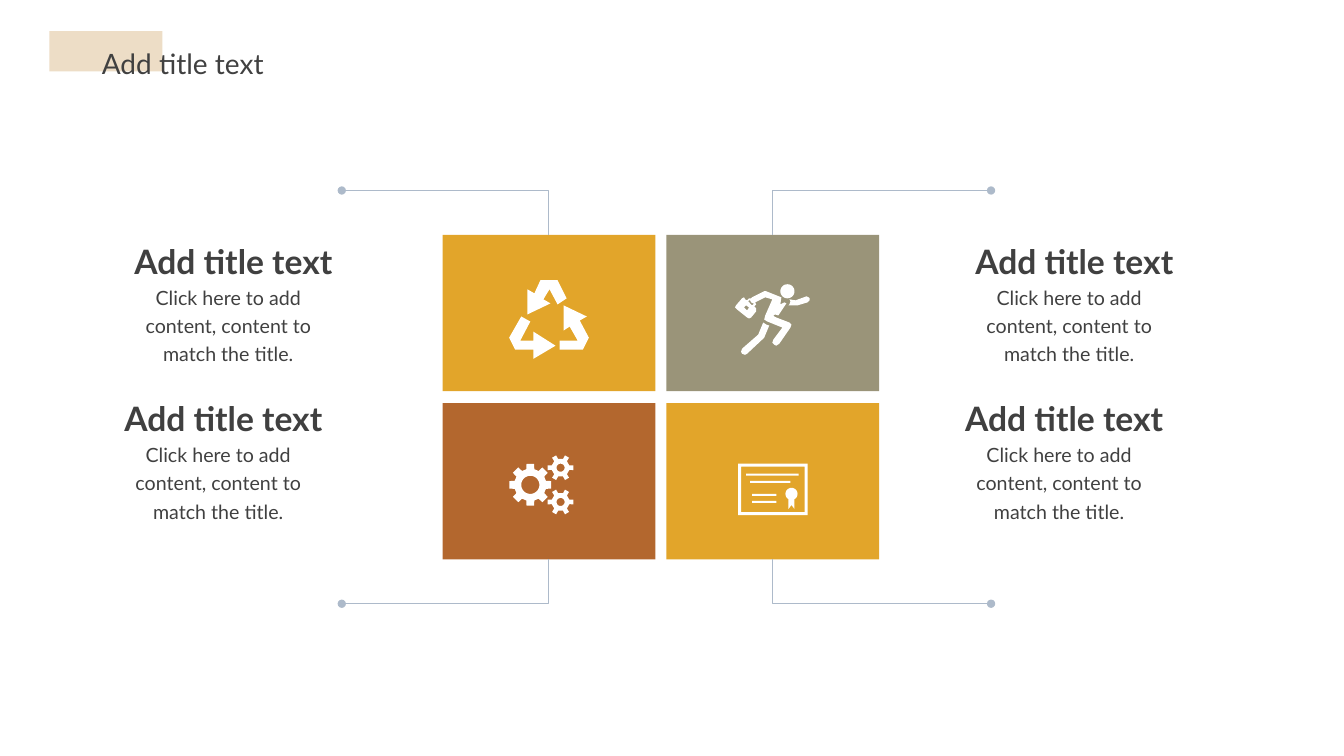
from math import cos, pi, sin

from lxml.etree import SubElement
from pptx import Presentation
from pptx.dml.color import RGBColor
from pptx.enum.shapes import MSO_CONNECTOR, MSO_SHAPE
from pptx.enum.text import MSO_ANCHOR, MSO_AUTO_SIZE, PP_ALIGN
from pptx.oxml.ns import qn
from pptx.util import Inches, Pt

FONT, INK, WHITE, RULE = "Lato", "404040", "FFFFFF", "ADBACA"
TITLE = "Add title text"
HEADING = "Add title text"
BODY = "Click here to add content, content to match the title."

TILE_W, TILE_H = 2.11, 1.55
COLUMNS = [(4.39, 3.39), (6.61, 9.83)]
ROWS = [(2.33, 1.89, 0), (4, 5.99, 2)]
TILES = [["E2A52A", "9A9479"], ["B3672E", "E2A52A"]]
CAPTIONS = [(1.23, 2.33), (1.13, 3.89), (9.57, 2.33), (9.47, 3.89)]


def circle(cx, cy, radius, steps=32):
    return [(cx + radius * cos(2 * pi * i / steps), cy + radius * sin(2 * pi * i / steps))
            for i in range(steps)]


def box(left, top, right, bottom):
    return [(left, top), (right, top), (right, bottom), (left, bottom)]


def gear(cx, cy, tip, root, hole, teeth):
    outline = []
    for i in range(teeth):
        mid = 2 * pi * i / teeth
        for radius, turn in [(root, -0.25), (tip, -0.18), (tip, 0.18), (root, 0.25)]:
            outline.append((cx + radius * cos(mid + turn), cy + radius * sin(mid + turn)))
    return [outline, circle(cx, cy, hole)]


RECYCLE = [
    [(5.53, 2.78), (5.36, 2.78), (5.3, 2.91), (5.23, 2.87), (5.23, 3.12), (5.46, 3.01),
     (5.39, 2.97), (5.45, 2.87), (5.53, 3.02), (5.62, 2.96)],
    [(5.29, 3.38), (5.16, 3.38), (5.26, 3.19), (5.17, 3.14), (5.05, 3.35), (5.11, 3.47),
     (5.29, 3.47), (5.29, 3.56), (5.51, 3.43), (5.29, 3.29)],
    [(5.75, 3.18), (5.82, 3.14), (5.59, 3.03), (5.59, 3.28), (5.65, 3.24), (5.73, 3.38),
     (5.55, 3.38), (5.55, 3.47), (5.78, 3.47), (5.84, 3.35)],
]
RUNNER = [
    circle(7.81, 2.89, 0.07),
    [(8.03, 2.96), (8.02, 2.95), (8, 2.94), (7.89, 2.98), (7.83, 2.97), (7.84, 2.99),
     (7.83, 3.02), (7.82, 3.03), (7.89, 3.03), (7.91, 3.03), (8.01, 3), (8.03, 2.98)],
    [(7.47, 3.02), (7.46, 3.03), (7.42, 2.99), (7.43, 2.98), (7.44, 2.98), (7.45, 3),
     (7.47, 3.01), (7.48, 3.01)],
    [(7.41, 3.08), (7.38, 3.05), (7.4, 3.03), (7.43, 3.05)],
    [(7.83, 3.2), (7.7, 3.15), (7.68, 3.14), (7.67, 3.13), (7.69, 3.12), (7.72, 3.13),
     (7.8, 3.01), (7.78, 3), (7.74, 3.02), (7.75, 2.95), (7.7, 2.93), (7.6, 2.89),
     (7.58, 2.89), (7.46, 2.95), (7.45, 2.96), (7.43, 2.96), (7.41, 2.98), (7.39, 2.97),
     (7.38, 2.95), (7.36, 2.96), (7.3, 3.03), (7.29, 3.05), (7.31, 3.07), (7.41, 3.15),
     (7.43, 3.16), (7.45, 3.15), (7.5, 3.09), (7.5, 3.06), (7.48, 3.04), (7.5, 3.02),
     (7.49, 3), (7.59, 2.95), (7.66, 2.97), (7.59, 3.13), (7.58, 3.17), (7.61, 3.19),
     (7.76, 3.25), (7.67, 3.37), (7.66, 3.4), (7.68, 3.42), (7.7, 3.43), (7.73, 3.41),
     (7.84, 3.25), (7.85, 3.22)],
    [(7.57, 3.2), (7.52, 3.32), (7.36, 3.46), (7.35, 3.49), (7.36, 3.51), (7.39, 3.52),
     (7.41, 3.51), (7.57, 3.36), (7.58, 3.35), (7.63, 3.23), (7.6, 3.22)],
]
GEARS = (gear(5.26, 4.81, 0.21, 0.16, 0.09, 8)
         + gear(5.56, 4.64, 0.13, 0.09, 0.04, 6)
         + gear(5.56, 4.98, 0.13, 0.09, 0.04, 6))
CERTIFICATE = [
    box(7.32, 4.6, 8.01, 5.11), box(7.35, 4.63, 7.98, 5.08),
    box(7.4, 4.7, 7.92, 4.72), box(7.44, 4.77, 7.84, 4.79),
    box(7.46, 4.9, 7.7, 4.92), box(7.46, 4.97, 7.7, 4.99),
    circle(7.85, 4.9, 0.06),
    [(7.82, 4.95), (7.85, 4.96), (7.88, 4.95), (7.88, 5.05), (7.85, 5.01), (7.82, 5.05)],
]


def rgb(value):
    return RGBColor.from_string(value)


def paint(sp, color):
    sp.shadow.inherit = False
    sp.fill.solid()
    sp.fill.fore_color.rgb = rgb(color)
    sp.line.fill.background()


def add_rect(s, left, top, width, height, color):
    sp = s.shapes.add_shape(MSO_SHAPE.RECTANGLE, Inches(left), Inches(top),
                            Inches(width), Inches(height))
    paint(sp, color)
    return sp


def add_icon(s, contours):
    points = [[(Inches(x), Inches(y)) for x, y in contour] for contour in contours]
    builder = s.shapes.build_freeform(*points[0][0])
    builder.add_line_segments(points[0][1:])
    for contour in points[1:]:
        builder.move_to(*contour[0])
        builder.add_line_segments(contour[1:])
    paint(builder.convert_to_shape(), WHITE)


def add_elbow(s, x, y, tile, site):
    c = s.shapes.add_connector(MSO_CONNECTOR.ELBOW, Inches(x), Inches(y), Inches(x), Inches(y))
    c.end_connect(tile, site)
    c.line.color.rgb = rgb(RULE)
    c.line.width = Pt(0.75)
    sp_pr = c._element.spPr
    sp_pr.find(qn("a:prstGeom")).set("prst", "bentConnector2")
    SubElement(sp_pr.find(qn("a:ln")), qn("a:headEnd"), type="oval")
    SubElement(sp_pr, qn("a:effectLst"))


def write(tf, text, size, align, spacing, bold=False):
    p = tf.paragraphs[0]
    p.alignment = align
    p.line_spacing = spacing
    r = p.add_run()
    r.text = text
    r.font.name = FONT
    r.font.size = Pt(size)
    r.font.bold = bold
    r.font.color.rgb = rgb(INK)


def add_text(s, left, top, width, height, text, size, spacing, anchor, bold, wrap):
    sp = s.shapes.add_textbox(Inches(left), Inches(top), Inches(width), Inches(height))
    tf = sp.text_frame
    tf.margin_left = tf.margin_right = tf.margin_top = tf.margin_bottom = 0
    tf.word_wrap = wrap
    tf.vertical_anchor = anchor
    write(tf, text, size, PP_ALIGN.CENTER, spacing, bold)


def main():
    prs = Presentation()
    prs.slide_width, prs.slide_height = Inches(13.33), Inches(7.5)
    s = prs.slides.add_slide(prs.slide_layouts[5])

    accent = add_rect(s, 0.49, 0.31, 1.12, 0.4, "EDDDC6")
    title = s.shapes.title
    accent._element.getparent().insert(2, accent._element)
    title.left, title.top = Inches(0.91), Inches(0.24)
    title.width, title.height = Inches(3.5), Inches(0.55)
    title.text_frame.auto_size = MSO_AUTO_SIZE.NONE
    title.text_frame.vertical_anchor = MSO_ANCHOR.TOP
    write(title.text_frame, TITLE, 20, PP_ALIGN.JUSTIFY, 1.5)

    for (top, dot_y, site), colors in zip(ROWS, TILES):
        for (left, dot_x), color in zip(COLUMNS, colors):
            tile = add_rect(s, left, top, TILE_W, TILE_H, color)
            add_elbow(s, dot_x, dot_y, tile, site)

    for contours in (RECYCLE, RUNNER, GEARS, CERTIFICATE):
        add_icon(s, contours)

    for left, top in CAPTIONS:
        add_text(s, left, top, 2.17, 0.46, HEADING, 24, 1, MSO_ANCHOR.BOTTOM, True, False)
        add_text(s, left, top + 0.46, 2.07, 0.32, BODY, 14, 1.2, MSO_ANCHOR.TOP, False, True)

    prs.save("out.pptx")


if __name__ == "__main__":
    main()
